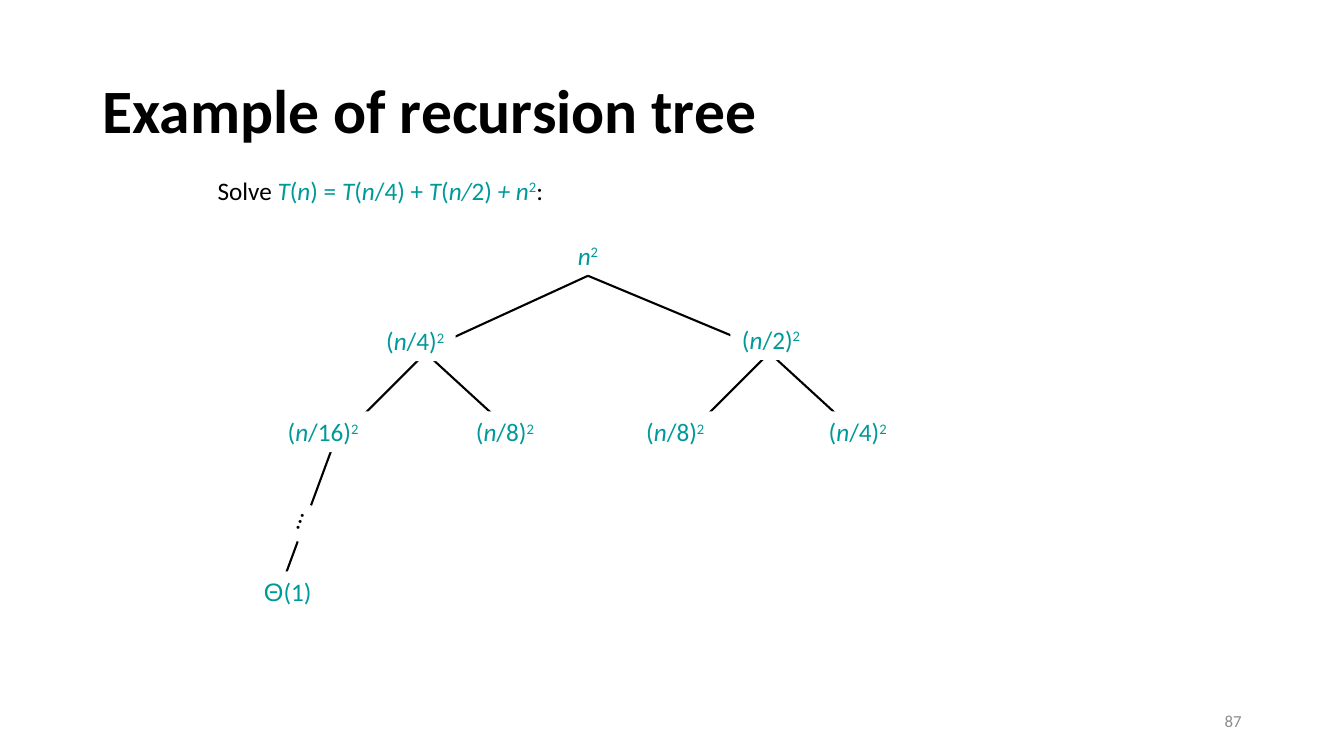
import dataclasses

import pptx
import pptx.dml.color
import pptx.enum.shapes
import pptx.enum.text
import pptx.oxml
import pptx.oxml.ns
import pptx.util

Pt = pptx.util.Pt
ALIGN = pptx.enum.text.PP_ALIGN
ANCHOR = pptx.enum.text.MSO_ANCHOR


@dataclasses.dataclass(frozen=True)
class Theme:
    """Colours, fonts and type sizes of the slide."""
    black: str = "000000"
    white: str = "FFFFFF"
    teal: str = "009999"
    grey: str = "8C8C8C"
    font: str = "Calibri"
    symbol_font: str = "Arial"
    title_size: float = 44
    body_size: float = 18
    number_size: float = 12
    line_width: float = 1.5


THEME = Theme()


def rgb(value):
    """Return a colour object for a hexadecimal string."""
    return pptx.dml.color.RGBColor.from_string(value)


def write_text(paragraph, text, size=THEME.body_size, color=THEME.black, bold=False,
               font=THEME.font, align=ALIGN.LEFT):
    """Append text in which _x_ is italic and ^x^ is superscript."""
    paragraph.alignment = align
    for italic_index, part in enumerate(text.split("_")):
        for raised_index, piece in enumerate(part.split("^")):
            if not piece:
                continue
            run = paragraph.add_run()
            run.text = piece
            run.font.name = font
            run.font.size = Pt(size)
            run.font.bold = bold
            run.font.italic = italic_index % 2 == 1
            run.font.color.rgb = rgb(color)
            if raised_index % 2:
                run.font._element.set("baseline", "30000")


def add_title(slide, box, text):
    """Place the slide title in the box."""
    title = slide.shapes.title
    title.left, title.top, title.width, title.height = map(Pt, box)
    title.text_frame.vertical_anchor = ANCHOR.MIDDLE
    paragraph = title.text_frame.paragraphs[0]
    paragraph.line_spacing = 0.9
    write_text(paragraph, text, size=THEME.title_size, bold=True)


def add_text_box(slide, box, wrap=False, anchor=ANCHOR.TOP):
    """Add a text box and return its first paragraph."""
    frame = slide.shapes.add_textbox(*map(Pt, box)).text_frame
    frame.word_wrap = wrap
    frame.vertical_anchor = anchor
    return frame.paragraphs[0]


def add_recurrence(slide, box):
    """Write the recurrence that the tree solves."""
    paragraph = add_text_box(slide, box)
    write_text(paragraph, "Solve ")
    write_text(paragraph, "_T_(_n_) = _T_(_n_/4) + _T_(_n/_2)_ + n_^2^", color=THEME.teal)
    write_text(paragraph, ":")


def add_node(slide, center, width, height=29):
    """Add a white rectangle around a centre point."""
    x, y = center
    node = slide.shapes.add_shape(pptx.enum.shapes.MSO_SHAPE.RECTANGLE, Pt(x - width / 2),
                                  Pt(y - height / 2), Pt(width), Pt(height))
    node.shadow.inherit = False
    node.fill.solid()
    node.fill.fore_color.rgb = rgb(THEME.white)
    node.line.fill.background()
    node.text_frame.word_wrap = False
    node.text_frame.vertical_anchor = ANCHOR.TOP
    return node


def add_cost(slide, center, width, text):
    """Add a node that shows the cost of one call."""
    node = add_node(slide, center, width)
    write_text(node.text_frame.paragraphs[0], text, color=THEME.teal, align=ALIGN.CENTER)
    return node


def add_branch(slide, start, end):
    """Draw a straight branch between two points."""
    branch = slide.shapes.add_connector(pptx.enum.shapes.MSO_CONNECTOR.STRAIGHT,
                                        *map(Pt, (*start, *end)))
    branch.line.color.rgb = rgb(THEME.black)
    branch.line.width = Pt(THEME.line_width)
    branch._element.spPr.append(pptx.oxml.parse_xml(
        "<a:effectLst %s/>" % pptx.oxml.ns.nsdecls("a")))
    return branch


def add_tree(slide, box):
    """Draw the recursion tree, branches behind the nodes."""
    left, top, width, height = box

    def at(x, y):
        """Turn a point of the box into a point of the slide."""
        return left + x, top + y

    root_x, fork_y, leaf_y = 240, 84, 150
    root = add_cost(slide, at(root_x, 14.5), 30, "_n_^2^")
    for child_x in (120, 372):
        branch = add_branch(slide, at(root_x, 29), at(child_x, fork_y))
        branch.begin_connect(root, 2)
    for fork_x in (124, 369.6):
        for offset in (-66, 72):
            add_branch(slide, at(fork_x, fork_y), at(fork_x + offset, leaf_y))
    add_branch(slide, at(58, leaf_y), at(16, height - 6))

    costs = (
        (116.6, 75.4, 58, "(_n_/4)^2^"),
        (370.8, 74.6, 58, "(_n_/2)^2^"),
        (50.8, 140.4, 67, "(_n_/16)^2^"),
        (180.7, 140.4, 58, "(_n_/8)^2^"),
        (302.4, 140.4, 58, "(_n_/8)^2^"),
        (432.7, 140.4, 58, "(_n_/4)^2^"),
    )
    for x, y, node_width, text in costs:
        add_cost(slide, at(x, y), node_width, text)

    base = add_node(slide, at(25.6, 254.6), 48).text_frame.paragraphs[0]
    write_text(base, "Θ", color=THEME.teal, font=THEME.symbol_font)
    write_text(base, "(1)", color=THEME.teal, align=ALIGN.CENTER)
    dots = add_node(slide, at(28.8, 202.8), 27.4)
    dots.rotation = 289.4
    write_text(dots.text_frame.paragraphs[0], "…", align=ALIGN.CENTER)


def add_page_number(slide, box, text):
    """Write the page number at the right of the box."""
    paragraph = add_text_box(slide, box, wrap=True, anchor=ANCHOR.MIDDLE)
    write_text(paragraph, text, size=THEME.number_size, color=THEME.grey, align=ALIGN.RIGHT)


def main():
    """Build the slide and save it."""
    presentation = pptx.Presentation()
    presentation.slide_width, presentation.slide_height = Pt(960), Pt(540)
    slide = presentation.slides.add_slide(presentation.slide_layouts.get_by_name("Title Only"))
    add_title(slide, (66, 28.8, 828, 104.4), "Example of recursion tree")
    add_tree(slide, (180, 168, 462, 270))
    add_recurrence(slide, (148.3, 121.7, 251.3, 29))
    add_page_number(slide, (678, 500.5, 216, 28.8), "87")
    presentation.save("out.pptx")


if __name__ == "__main__":
    main()
